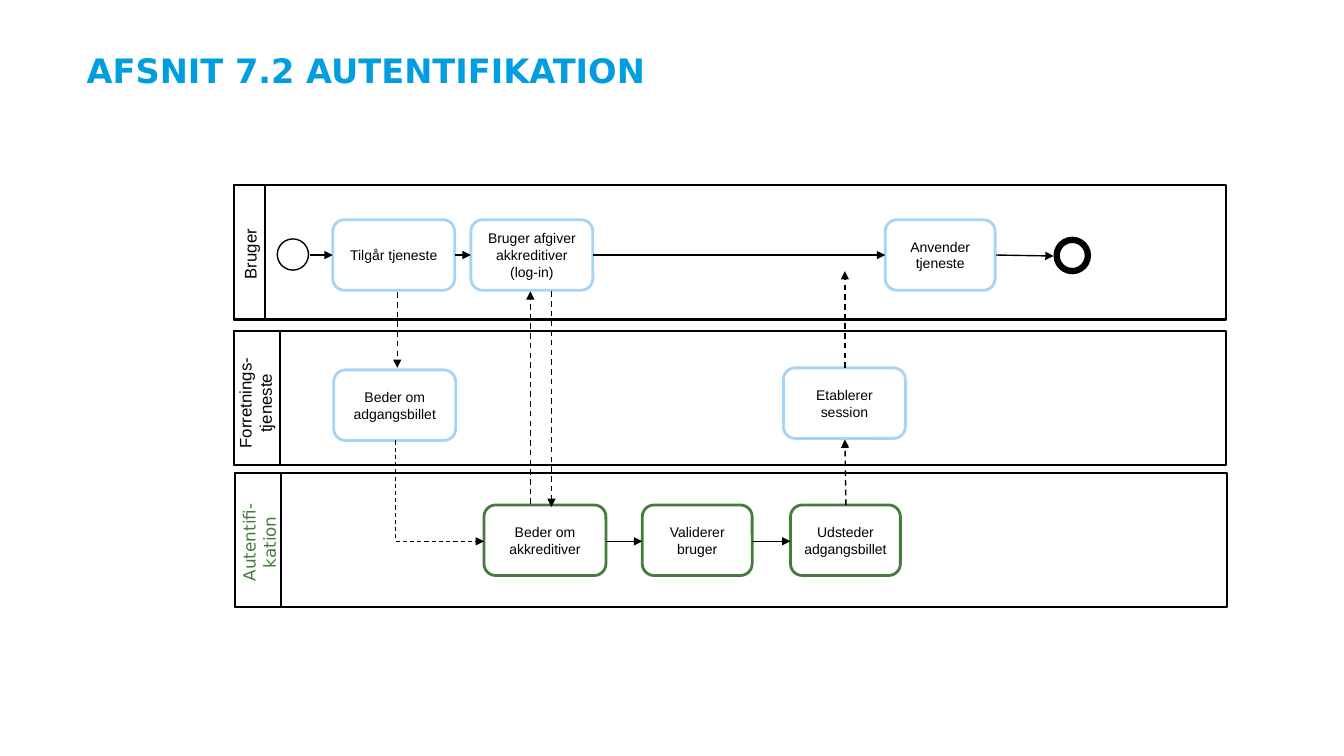
from dataclasses import dataclass

from lxml.etree import SubElement
from pptx import Presentation
from pptx.dml.color import RGBColor
from pptx.enum.dml import MSO_LINE
from pptx.enum.shapes import MSO_CONNECTOR, MSO_SHAPE
from pptx.enum.text import MSO_ANCHOR, PP_ALIGN
from pptx.oxml.ns import qn
from pptx.util import Inches, Pt


@dataclass(frozen=True)
class Theme:
    title: str = "009DE0"
    ink: str = "000000"
    paper: str = "FFFFFF"
    blue: str = "A7D3F5"
    green: str = "457C3D"
    body_font: str = "Arial"
    accent_font: str = "DejaVu Sans"
    title_size: int = 24
    lane_size: int = 12
    task_size: int = 10


THEME = Theme()
TITLE = "AFSNIT 7.2 AUTENTIFIKATION"
LANE_WIDTH, LANE_HEIGHT = 9.84, 1.33
LABEL_LENGTH = 1.46
TASK_HEIGHT = 0.7
EVENT_SIZE = 0.31

# name, left, top, header width, label centre, label thickness, font, colour
LANES = [
    ("Bruger", 2.32, 1.84, 0.31, (2.48, 2.52), 0.3, THEME.body_font, THEME.ink),
    ("Forretnings-tjeneste", 2.32, 3.28, 0.46, (2.53, 4.0), 0.5, THEME.body_font, THEME.ink),
    ("Autentifi-kation", 2.33, 4.69, 0.46, (2.57, 5.38), 0.5, THEME.accent_font, THEME.green),
]
# text, left, top, width, outline
TASKS = [
    ("Tilgår tjeneste", 3.3, 2.18, 1.21, THEME.blue),
    ("Bruger afgiver akkreditiver (log-in)", 4.67, 2.18, 1.21, THEME.blue),
    ("Anvender tjeneste", 8.78, 2.18, 1.09, THEME.blue),
    ("Beder om adgangsbillet", 3.31, 3.67, 1.21, THEME.blue),
    ("Etablerer session", 7.77, 3.65, 1.21, THEME.blue),
    ("Beder om akkreditiver", 4.8, 5.01, 1.21, THEME.green),
    ("Validerer bruger", 6.37, 5.01, 1.09, THEME.green),
    ("Udsteder adgangsbillet", 7.84, 5.01, 1.09, THEME.green),
]
# left, top, line width
EVENTS = [(2.75, 2.37, 1), (10.48, 2.38, 4.5)]
# start, end
SEQUENCE_FLOWS = [
    ((3.07, 2.53), (3.3, 2.53)),
    ((4.51, 2.53), (4.67, 2.53)),
    ((5.88, 2.53), (8.78, 2.53)),
    ((9.88, 2.53), (10.45, 2.54)),
    ((6.01, 5.37), (6.37, 5.37)),
    ((7.46, 5.37), (7.84, 5.37)),
]
MESSAGE_FLOWS = [
    ((3.94, 2.9), (3.94, 3.65)),
    ((5.47, 2.89), (5.47, 5.03)),
    ((5.26, 5.0), (5.26, 2.89)),
    ((8.39, 5.01), (8.38, 4.36)),
    ((8.38, 3.65), (8.38, 2.69)),
]
TICKET_REQUEST = ((3.92, 4.37), (4.8, 5.37))


def write(shape, text, font, size, color, align=PP_ALIGN.CENTER, bold=False):
    shape.text_frame.word_wrap = True
    paragraph = shape.text_frame.paragraphs[0]
    paragraph.text = text
    paragraph.alignment = align
    paragraph.font.name = font
    paragraph.font.size = Pt(size)
    paragraph.font.bold = bold
    paragraph.font.color.rgb = RGBColor.from_string(color)


def add_outline(slide, kind, box, color, width, fill=None):
    shape = slide.shapes.add_shape(kind, *map(Inches, box))
    shape.shadow.inherit = False
    if fill:
        shape.fill.solid()
        shape.fill.fore_color.rgb = RGBColor.from_string(fill)
    else:
        shape.fill.background()
    shape.line.color.rgb = RGBColor.from_string(color)
    shape.line.width = Pt(width)
    return shape


def add_title(slide):
    box = slide.shapes.add_textbox(*map(Inches, (0.86, 0.47, 11.55, 0.82)))
    frame = box.text_frame
    frame.margin_left = frame.margin_right = frame.margin_bottom = 0
    frame.margin_top = Inches(0.02)
    write(box, TITLE, THEME.accent_font, THEME.title_size, THEME.title, PP_ALIGN.LEFT, True)


def add_lane(slide, name, left, top, header_width, centre, thickness, font, color):
    for width in (LANE_WIDTH, header_width):
        add_outline(slide, MSO_SHAPE.RECTANGLE, (left, top, width, LANE_HEIGHT), THEME.ink, 1.5)
    x, y = centre
    label = slide.shapes.add_textbox(
        Inches(x - LABEL_LENGTH / 2), Inches(y - thickness / 2),
        Inches(LABEL_LENGTH), Inches(thickness))
    label.rotation = 270
    write(label, name, font, THEME.lane_size, color)


def add_task(slide, text, left, top, width, color):
    task = add_outline(slide, MSO_SHAPE.ROUNDED_RECTANGLE,
                       (left, top, width, TASK_HEIGHT), color, 2, THEME.paper)
    task.text_frame.vertical_anchor = MSO_ANCHOR.MIDDLE
    write(task, text, THEME.body_font, THEME.task_size, THEME.ink)


def add_arrow(slide, start, end, dashed=False, width=1, kind=MSO_CONNECTOR.STRAIGHT):
    arrow = slide.shapes.add_connector(kind, *map(Inches, start + end))
    arrow.line.color.rgb = RGBColor.from_string(THEME.ink)
    arrow.line.width = Pt(width)
    if dashed:
        arrow.line.dash_style = MSO_LINE.DASH
    properties = arrow._element.spPr
    SubElement(properties.find(qn("a:ln")), qn("a:tailEnd"), type="triangle")
    SubElement(properties, qn("a:effectLst"))
    return arrow


def add_down_then_right_arrow(slide, start, end):
    """A one-bend connector runs right then down, so it is turned and mirrored."""
    (x1, y1), (x2, y2) = start, end
    x, y = (x1 + x2) / 2, (y1 + y2) / 2
    half_width, half_height = (y2 - y1) / 2, (x2 - x1) / 2
    arrow = add_arrow(slide, (x - half_width, y - half_height),
                      (x + half_width, y + half_height), True, 0.75, MSO_CONNECTOR.ELBOW)
    properties = arrow._element.spPr
    properties.find(qn("a:prstGeom")).set("prst", "bentConnector2")
    transform = properties.find(qn("a:xfrm"))
    transform.set("rot", str(270 * 60000))
    transform.set("flipH", "1")


def main():
    presentation = Presentation()
    presentation.slide_width, presentation.slide_height = Inches(13.33), Inches(7.5)
    slide = presentation.slides.add_slide(presentation.slide_layouts[6])
    add_title(slide)
    for lane in LANES:
        add_lane(slide, *lane)
    for left, top, width in EVENTS:
        add_outline(slide, MSO_SHAPE.OVAL, (left, top, EVENT_SIZE, EVENT_SIZE), THEME.ink, width)
    for task in TASKS:
        add_task(slide, *task)
    for start, end in SEQUENCE_FLOWS:
        add_arrow(slide, start, end)
    for start, end in MESSAGE_FLOWS:
        add_arrow(slide, start, end, dashed=True)
    add_down_then_right_arrow(slide, *TICKET_REQUEST)
    presentation.save("out.pptx")


if __name__ == "__main__":
    main()
